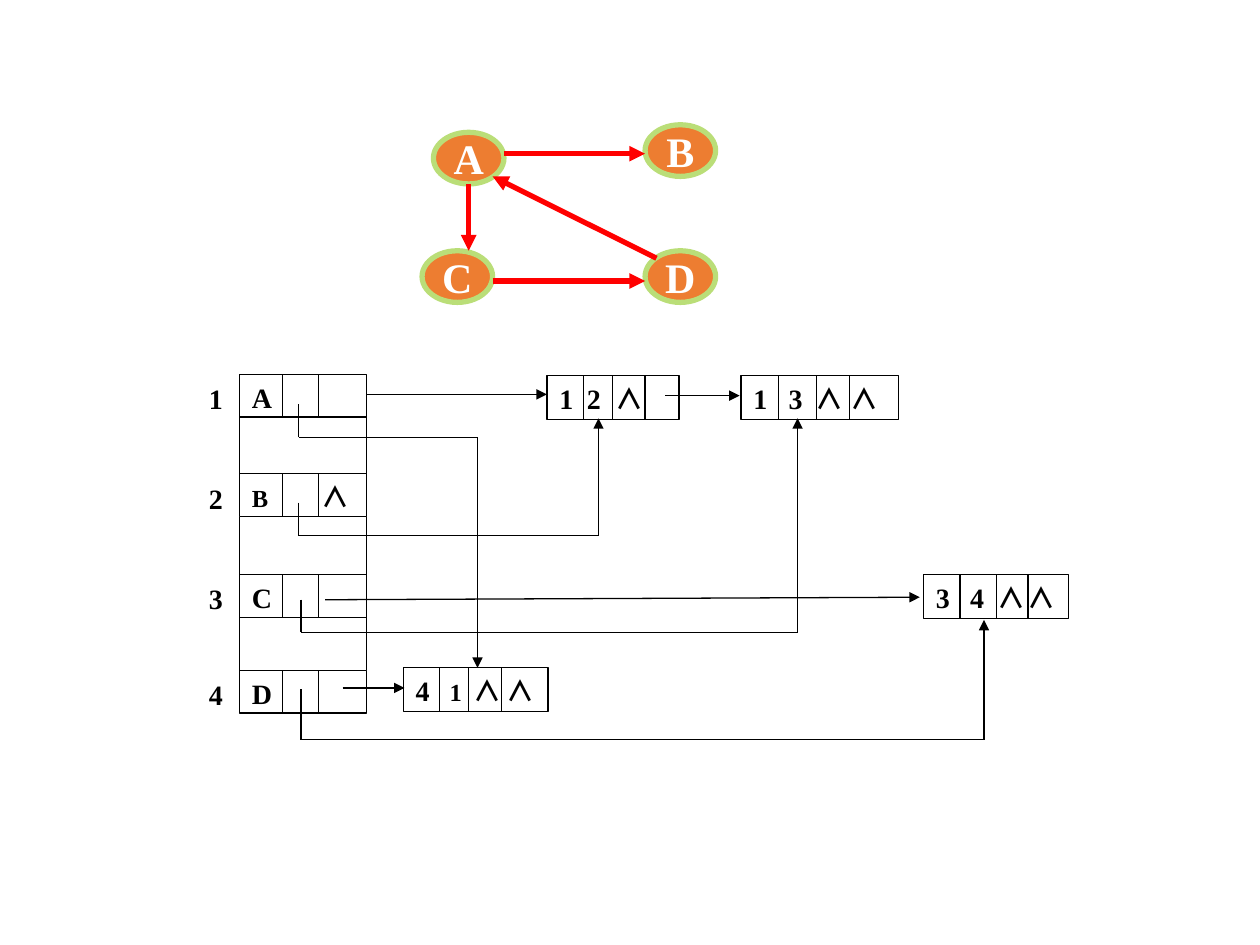
from collections import namedtuple
from itertools import pairwise

from lxml import etree
from pptx import Presentation
from pptx.dml.color import RGBColor
from pptx.enum.shapes import MSO_CONNECTOR, MSO_SHAPE
from pptx.enum.text import MSO_ANCHOR, PP_ALIGN
from pptx.oxml.ns import qn
from pptx.util import Inches, Pt

STRAIGHT = MSO_CONNECTOR.STRAIGHT
RECTANGLE = MSO_SHAPE.RECTANGLE
OVAL = MSO_SHAPE.OVAL
TOP = MSO_ANCHOR.TOP
MIDDLE = MSO_ANCHOR.MIDDLE
CENTER = PP_ALIGN.CENTER
LEFT = PP_ALIGN.LEFT

SERIF = "Times New Roman"
SYMBOL = "Noto Sans CJK SC"
NULL = "∧"
BLACK = "000000"
WHITE = "FFFFFF"
RED = "FF0000"
ORANGE = "ED7D31"
GREEN = "BADE78"

Box = namedtuple("Box", "left top width height")
Cell = namedtuple("Cell", "text offset size", defaults=(0, 16))


def grid(units):
    return Inches(round(units / 10, 2))


def color(hex_string):
    return RGBColor.from_string(hex_string)


def place(region, left, top, width, height):
    return Box(region.left + left, region.top + top, width, height)


def style_font(font, size, hex_string, name=SERIF):
    font.name = name
    font.size = Pt(size)
    font.bold = True
    font.color.rgb = color(hex_string)


def add_outline(shapes, kind, box, fill, line, line_width):
    shape = shapes.add_shape(kind, *map(grid, box))
    shape.shadow.inherit = False
    shape.fill.solid()
    shape.fill.fore_color.rgb = color(fill)
    shape.line.color.rgb = color(line)
    shape.line.width = Pt(line_width)
    return shape


def add_path(shapes, region, points, arrow=True, hex_string=BLACK, width=0.75):
    for start, end in pairwise(points):
        ends = [grid(region[axis] + point[axis]) for point in (start, end) for axis in (0, 1)]
        connector = shapes.add_connector(STRAIGHT, *ends)
        connector.line.color.rgb = color(hex_string)
        connector.line.width = Pt(width)
        etree.SubElement(connector._element.spPr, qn("a:effectLst"))
    if arrow:
        etree.SubElement(connector.line._get_or_add_ln(), qn("a:tailEnd"), type="triangle")


def add_record(shapes, box, dividers, cells):
    shape = add_outline(shapes, RECTANGLE, box, WHITE, BLACK, 0.75)
    frame = shape.text_frame
    frame.word_wrap = True
    frame.vertical_anchor = TOP
    frame.margin_right = 0
    paragraph = frame.paragraphs[0]
    paragraph.alignment = LEFT
    tabs = etree.SubElement(paragraph._p.get_or_add_pPr(), qn("a:tabLst"))
    for index, cell in enumerate(cells):
        if index:
            etree.SubElement(tabs, qn("a:tab"), pos=str(grid(cell.offset)), algn="l")
        run = paragraph.add_run()
        run.text = "\t" * bool(index) + cell.text
        name = SYMBOL if cell.text == NULL else SERIF
        style_font(run.font, cell.size, BLACK, name)
        etree.SubElement(run._r.get_or_add_rPr(), qn("a:ea"), typeface=name)
    for divider in dividers:
        add_path(shapes, box, [(divider, 0), (divider, box.height)], arrow=False)


def add_index(shapes, box, text):
    label = shapes.add_textbox(*map(grid, box))
    label.text_frame.word_wrap = True
    paragraph = label.text_frame.paragraphs[0]
    paragraph.text = text
    style_font(paragraph.font, 16, BLACK)


def draw_graph(slide, region):
    shapes = slide.shapes.add_group_shape().shapes
    vertices = {"A": (0.9, 0.6), "B": (17.7, 0), "C": (0, 10), "D": (17.7, 10)}
    for name, (left, top) in vertices.items():
        box = place(region, left, top, 5.6, 4.1)
        vertex = add_outline(shapes, OVAL, box, ORANGE, GREEN, 3)
        vertex.text_frame.word_wrap = False
        vertex.text_frame.vertical_anchor = MIDDLE
        paragraph = vertex.text_frame.paragraphs[0]
        paragraph.text = name
        paragraph.alignment = CENTER
        style_font(paragraph.font, 24, WHITE)
    edges = [
        [(6.5, 2.3), (17.7, 2.3)],
        [(3.7, 4.7), (3.7, 10)],
        [(5.6, 12.4), (17.7, 12.4)],
        [(18.6, 10.6), (5.6, 4.1)],
    ]
    for edge in edges:
        add_path(shapes, region, edge, hex_string=RED, width=3)


def draw_orthogonal_list(slide, region):
    shapes = slide.shapes.add_group_shape().shapes
    left, width, height = 3.4, 10.1, 3.4
    tops = [0, 7.9, 15.9, 23.5]
    heads = [
        [Cell("A")],
        [Cell("B", size=14), Cell(NULL, 5.5)],
        [Cell("C")],
        [Cell("D")],
    ]
    for number, (top, cells) in enumerate(zip(tops, heads), 1):
        add_record(shapes, place(region, left, top, width, height), [3.4, 6.3], cells)
        add_index(shapes, place(region, 0, top + 0.1, 3.3, height), str(number))
    for upper, lower in pairwise(tops):
        for side in (left, left + width):
            add_path(shapes, region, [(side, upper + height), (side, lower)], arrow=False)

    arcs = [
        ((27.8, 0.1, 10.5), [2.9, 5.2, 7.8],
         [Cell("1"), Cell("2", 2.2), Cell(NULL, 4.5)]),
        ((43.2, 0.1, 12.5), [3, 6, 8.6],
         [Cell("1"), Cell("3", 2.8), Cell(NULL, 4.9), Cell(NULL, 7.7)]),
        ((16.4, 23.3, 11.5), [2.9, 5.2, 7.8],
         [Cell("4"), Cell("1", 2.7, 14), Cell(NULL, 4.6), Cell(NULL, 7.2)]),
        ((57.7, 15.9, 11.5), [2.9, 5.8, 8.3],
         [Cell("3"), Cell("4", 2.7), Cell(NULL, 4.9), Cell(NULL, 7.3)]),
    ]
    for position, dividers, cells in arcs:
        add_record(shapes, place(region, *position, 3.5), dividers, cells)

    pointers = [
        [(13.5, 1.6), (27.8, 1.6)],
        [(37.2, 1.7), (43.1, 1.7)],
        [(10.2, 17.9), (57.4, 17.7)],
        [(11.6, 24.9), (16.5, 24.9)],
        [(8.1, 2.4), (8.1, 5), (22.3, 5), (22.3, 23.3)],
        [(8.1, 10.2), (8.1, 12.8), (31.9, 12.8), (31.9, 3.5)],
        [(8.3, 17.9), (8.3, 20.5), (47.7, 20.5), (47.7, 3.5)],
        [(8.3, 25), (8.3, 29), (62.5, 29), (62.5, 19.5)],
    ]
    for pointer in pointers:
        add_path(shapes, region, pointer)


def main():
    presentation = Presentation()
    presentation.slide_width = grid(100)
    presentation.slide_height = grid(75)
    slide = presentation.slides.add_slide(presentation.slide_layouts[6])
    draw_orthogonal_list(slide, Box(15.6, 29.7, 69.2, 29))
    draw_graph(slide, Box(33.5, 9.9, 23.3, 14.1))
    presentation.save("out.pptx")


if __name__ == "__main__":
    main()
